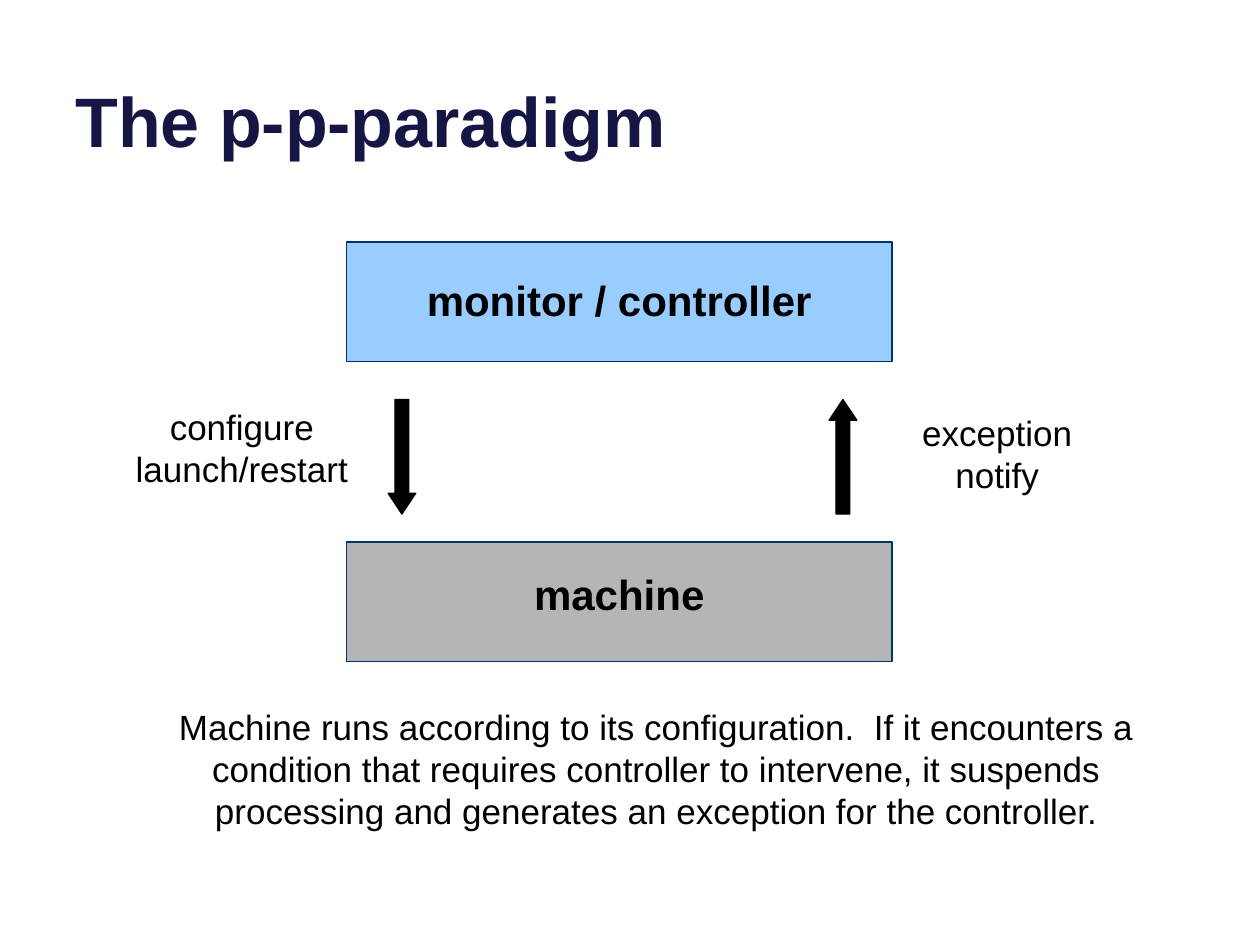
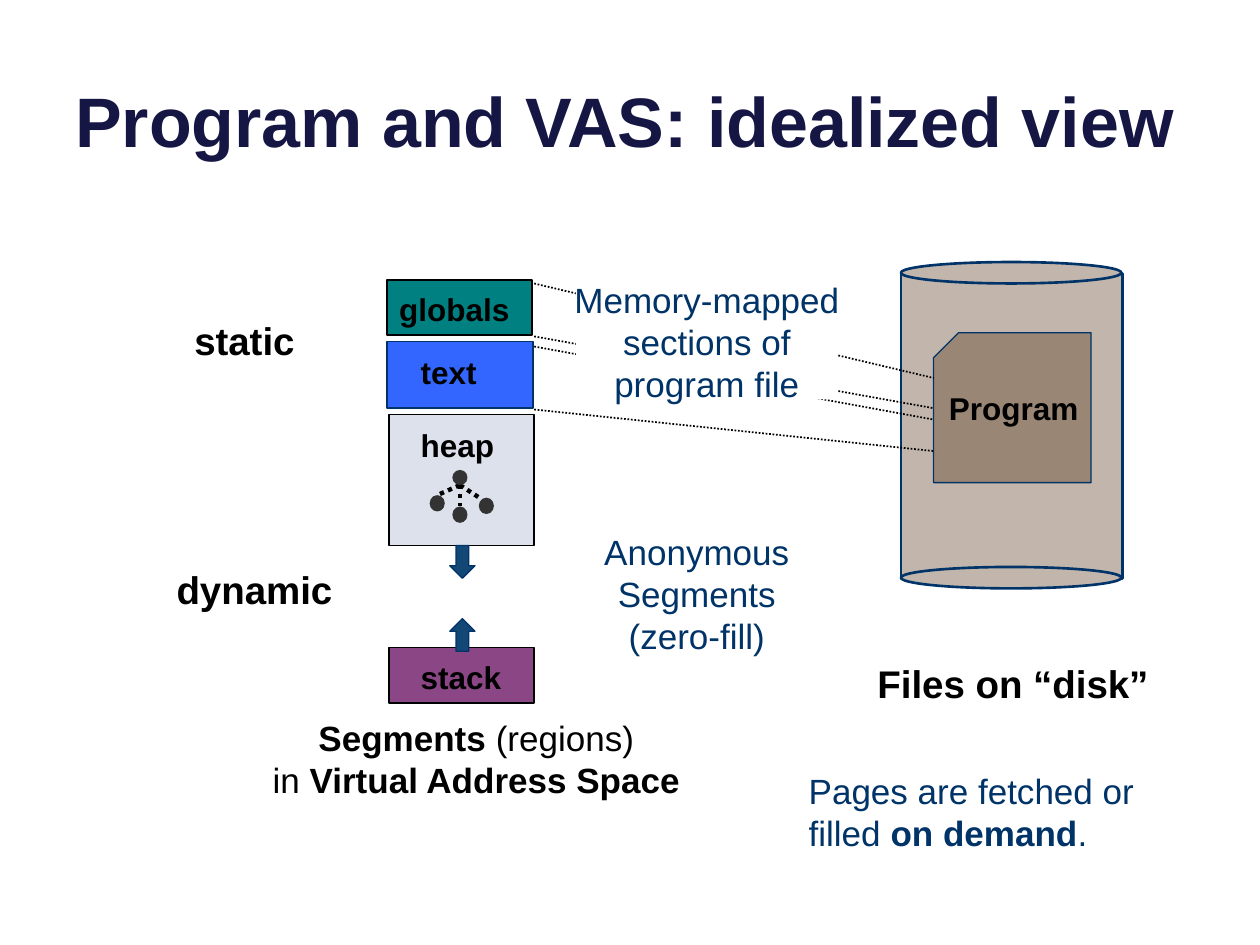
from lxml import etree
from pptx import Presentation
from pptx.dml.color import RGBColor
from pptx.enum import dml, shapes, text
from pptx.oxml.ns import qn
from pptx.util import Inches, Pt

COLORS = {
    "title": "161645", "black": "000000", "white": "FFFFFF", "navy": "003367",
    "sky": "99CCFF", "gray": "B5B5B5", "disk": "C2B6AC", "file": "998674",
    "globals": "008080", "text": "3366FF", "heap": "DCE1EC", "stack": "8B4785",
    "growth": "134776", "node": "333333",
}
FONT = "Arial"
KIND = shapes.MSO_SHAPE
LEFT, CENTER = text.PP_ALIGN.LEFT, text.PP_ALIGN.CENTER
TOP, MIDDLE, BOTTOM = (text.MSO_ANCHOR.TOP, text.MSO_ANCHOR.MIDDLE,
                       text.MSO_ANCHOR.BOTTOM)

# ---- Content: a paragraph is a string or a list of (text, bold) runs ----
PARADIGM = {
    "title": "The p-p-paradigm",
    # top, fill, label top, label
    "boxes": [(1.92, "sky", 2.13, "monitor / controller"),
              (4.3, "gray", 4.46, "machine")],
    # left, points down
    "arrows": [(6.58, False), (3.08, True)],
    "notes": [
        ((0.17, 3.17, 3.5, 0.78), ["configure", "launch/restart"]),
        ((7, 3.22, 1.83, 0.78), ["exception notify"]),
        ((1, 5.55, 8.42, 1.11),
         ["Machine runs according to its configuration.  If it encounters a "
          "condition that requires controller to intervene, it suspends "
          "processing and generates an exception for the controller."]),
    ],
}

VAS = {
    "title": "Program and VAS: idealized view",
    # name, box, outline, label left, label top
    "segments": [("stack", (3.09, 5.14, 1.15, 0.44), "black", 3.24, 5.17),
                 ("heap", (3.09, 3.29, 1.15, 1.04), "black", 3.24, 3.33),
                 ("globals", (3.07, 2.22, 1.15, 0.44), "black", 3.07, 2.25),
                 ("text", (3.07, 2.71, 1.16, 0.53), "navy", 3.24, 2.75)],
    "growth": [(KIND.DOWN_ARROW, 4.33), (KIND.UP_ARROW, 4.91)],
    # segment edge y, program file y
    "mappings": [(2.25, 3), (2.67, 3.24), (2.75, 3.33), (3.25, 3.58)],
    "callouts": [
        ((4.57, 2.25), ["Memory-mapped", "sections of", "program file"]),
        ((4.49, 4.25), ["Anonymous", "Segments", "(zero-fill)"]),
    ],
    "tree_root": (3.65, 3.85),
    # node corner, end of its branch
    "tree_leaves": [((3.41, 3.93), (3.47, 3.93)),
                    ((3.59, 4.02), (3.65, 4.02)),
                    ((3.8, 3.95), (3.82, 3.96))],
    "headings": [((6.75, 5.19, 2.58, 0.47), "Files on “disk”"),
                 ((1.25, 2.47, 1.38, 0.47), "static"),
                 ((1.26, 4.44, 1.52, 0.47), "dynamic")],
    "caption": [[("Segments ", True), ("(regions)", False)],
                [("in", False), (" Virtual Address Space", True)]],
    "demand": [[("Pages are fetched or filled ", False),
                ("on demand", True), (".", False)]],
}


# ---- Helpers ----
def rgb(name):
    return RGBColor.from_string(COLORS[name])


def write(s, paragraphs, size, color="black", bold=False, align=CENTER,
          anchor=TOP, wrap=True):
    tf = s.text_frame
    tf.word_wrap = wrap
    tf.vertical_anchor = anchor
    for i, content in enumerate(paragraphs):
        p = tf.paragraphs[0] if i == 0 else tf.add_paragraph()
        p.alignment = align
        p.font.name, p.font.size = FONT, Pt(size)
        p.font.color.rgb = rgb(color)
        if isinstance(content, str):
            p.font.bold = bold
            content = [(content, None)]
        for words, run_bold in content:
            r = p.add_run()
            r.text = words
            r.font.bold = run_bold


def add_text(slide, box, paragraphs, size, **style):
    s = slide.shapes.add_textbox(*map(Inches, box))
    write(s, paragraphs, size, **style)


def add_box(slide, kind, box, fill, outline=None, width=1):
    s = slide.shapes.add_shape(kind, *map(Inches, box))
    s.shadow.inherit = False
    s.fill.solid()
    s.fill.fore_color.rgb = rgb(fill)
    if outline:
        s.line.color.rgb = rgb(outline)
        s.line.width = Pt(width)
    else:
        s.line.fill.background()
    return s


def add_dotted(slide, start, end, width):
    s = slide.shapes.add_connector(shapes.MSO_CONNECTOR.STRAIGHT,
                                   *map(Inches, start + end))
    s.line.color.rgb = rgb("black")
    s.line.width = Pt(width)
    s.line.dash_style = dml.MSO_LINE.ROUND_DOT
    etree.SubElement(s.element.spPr, qn("a:effectLst"))


def new_slide(prs, title):
    slide = prs.slides.add_slide(prs.slide_layouts[6])
    add_text(slide, (0.5, 0.33, 9, 1), [title], 40, color="title", bold=True,
             align=LEFT, anchor=BOTTOM)
    return slide


# ---- Slides ----
def build_paradigm(prs):
    slide = new_slide(prs, PARADIGM["title"])
    for top, fill, label_top, label in PARADIGM["boxes"]:
        add_box(slide, KIND.FLOWCHART_PROCESS, (2.75, top, 4.33, 0.95), fill,
                "navy")
        add_text(slide, (2.58, label_top, 4.67, 0.51), [label], 24, bold=True)
    for left, down in PARADIGM["arrows"]:
        s = add_box(slide, KIND.DOWN_ARROW if down else KIND.UP_ARROW,
                    (left, 3.17, 0.22, 0.91), "black", "black", 0.75)
        s.adjustments[1] = 0.75
    for box, paragraphs in PARADIGM["notes"]:
        add_text(slide, box, paragraphs, 20)


def build_vas(prs):
    slide = new_slide(prs, VAS["title"])

    # Disk with the program file
    add_box(slide, KIND.RECTANGLE, (7.15, 2.17, 1.76, 2.42), "disk", "navy",
            1.5)
    for top in (2.08, 4.5):
        add_box(slide, KIND.OVAL, (7.15, top, 1.75, 0.17), "disk", "navy", 1.5)
    s = add_box(slide, KIND.SNIP_1_RECTANGLE, (7.41, 2.64, 1.25, 1.19), "file",
                "navy", 0.75)
    s.element.spPr.xfrm.set("flipH", "1")
    add_text(slide, (7.41, 3.04, 1.27, 0.41), ["Program"], 18, bold=True)

    # Segments and the directions they grow in
    for name, box, outline, left, top in VAS["segments"]:
        add_box(slide, KIND.FLOWCHART_PROCESS, box, name, outline)
        add_text(slide, (left, top, 1.4, 0.4), [name], 18, bold=True,
                 align=LEFT, anchor=MIDDLE)
    for kind, top in VAS["growth"]:
        add_box(slide, kind, (3.57, top, 0.2, 0.26), "growth", "navy", 0.75)
    add_text(slide, (1.99, 5.64, 3.58, 0.78), VAS["caption"], 20)

    # Mappings pass behind the callouts
    for segment_y, file_y in VAS["mappings"]:
        add_dotted(slide, (4.24, segment_y), (7.41, file_y), 1)
    for corner, paragraphs in VAS["callouts"]:
        s = add_box(slide, KIND.RECTANGLE, corner + (2.08, 0.92), "white")
        write(s, paragraphs, 20, color="navy", anchor=MIDDLE, wrap=False)

    # Linked data in the heap
    root = VAS["tree_root"]
    for corner, _ in VAS["tree_leaves"]:
        add_box(slide, KIND.OVAL, corner + (0.12, 0.13), "node")
    for _, end in VAS["tree_leaves"]:
        add_dotted(slide, root, end, 2.5)
    add_box(slide, KIND.OVAL, (root[0] - 0.06, root[1] - 0.12, 0.12, 0.12),
            "node")

    # Headings and closing remark
    for box, heading in VAS["headings"]:
        add_text(slide, box, [heading], 22, bold=True)
    add_text(slide, (6.32, 6.06, 2.97, 0.77), VAS["demand"], 20, color="navy",
             align=LEFT)


def main():
    prs = Presentation()
    prs.slide_width, prs.slide_height = Inches(10), Inches(7.5)
    build_paradigm(prs)
    build_vas(prs)
    prs.save("out.pptx")


if __name__ == "__main__":
    main()
